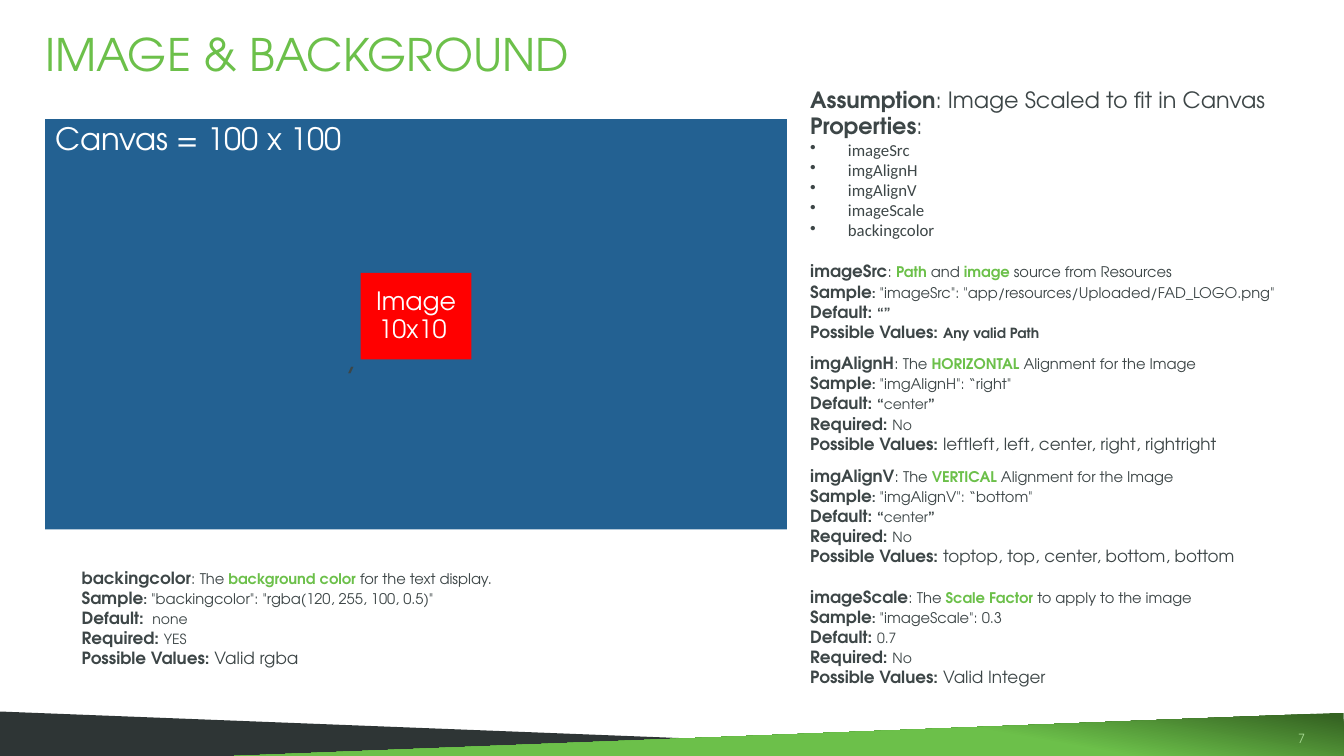
"""Build the slide on image and background properties."""
from dataclasses import dataclass
from typing import Any

import lxml.etree
import pptx
import pptx.dml.color
import pptx.enum.shapes
import pptx.enum.text
import pptx.oxml.ns
import pptx.util

Cm = pptx.util.Cm
SHAPE = pptx.enum.shapes.MSO_SHAPE
ALIGN = pptx.enum.text.PP_ALIGN
ANCHOR = pptx.enum.text.MSO_ANCHOR
GROW = pptx.enum.text.MSO_AUTO_SIZE.SHAPE_TO_FIT_TEXT

HUES = {
    "green": "6CC04A",
    "forest": "356322",
    "pale": "A7D992",
    "slate": "2E3535",
    "ink": "3D4647",
    "blue": "236192",
    "red": "FF0000",
    "white": "FFFFFF",
}
FACE = "TeX Gyre Adventor"
INSETS = ("margin_left", "margin_top", "margin_right", "margin_bottom")
FLUSH = {"word_wrap": True, "auto_size": GROW, **dict.fromkeys(INSETS, 0)}
LOOSE = {"word_wrap": True, "auto_size": GROW}
TIGHT = {"line_spacing": 0.9, "space_before": pptx.util.Pt(8)}
NOTE_LEFT, NOTE_WIDTH, ROW = 20.42, 12.8, 0.514


@dataclass
class Bit:
    """A run of text with its format."""
    text: str
    size: float = 12
    bold: bool = False
    hue: str = "ink"
    face: str = FACE


@dataclass
class Box:
    """A place on the slide in centimetres."""
    left: float
    top: float
    width: float
    height: float

    def spot(self) -> tuple:
        """Return the place as lengths."""
        return Cm(self.left), Cm(self.top), Cm(self.width), Cm(self.height)


@dataclass
class Note:
    """The description of one property."""
    left: float
    top: float
    name: str
    lead: list[Bit]
    sample: str
    default: list[Bit]
    need: str
    values: Bit

    def rows(self) -> list[list[Bit]]:
        """Return the lines of the note."""
        lines = [
            [Bit(self.name, bold=True), Bit(": ", 11), *self.lead],
            [Bit("Sample", bold=True), Bit(": ", 10, True), Bit(self.sample, 10.5)],
            [Bit("Default: ", bold=True), *self.default],
        ]
        if self.need:
            lines.append([Bit("Required: ", bold=True), Bit(self.need, 10)])
        return lines + [[Bit("Possible Values: ", bold=True), self.values]]


def color(name: str) -> pptx.dml.color.RGBColor:
    """Return a named colour."""
    return pptx.dml.color.RGBColor.from_string(HUES[name])


def style(item: Any, form: dict) -> None:
    """Set every format value on the item."""
    for key, value in form.items():
        setattr(item, key, value)


def write(frame: Any, rows: list[list[Bit]], form: dict, para: dict) -> None:
    """Fill a text frame with rows of runs."""
    style(frame, form)
    for index, row in enumerate(rows):
        line = frame.add_paragraph() if index else frame.paragraphs[0]
        style(line, para)
        for bit in row:
            run = line.add_run()
            run.text = bit.text
            style(run.font, {"name": bit.face, "size": pptx.util.Pt(bit.size), "bold": bit.bold})
            run.font.color.rgb = color(bit.hue)


def label(slide: Any, box: Box, rows: list[list[Bit]], form: dict, para: dict) -> Any:
    """Add a text box and return its frame."""
    frame = slide.shapes.add_textbox(*box.spot()).text_frame
    write(frame, rows, form, para)
    return frame


def block(slide: Any, kind: Any, box: Box, hue: str) -> Any:
    """Add a plain filled shape."""
    shape = slide.shapes.add_shape(kind, *box.spot())
    shape.shadow.inherit = False
    shape.fill.solid()
    shape.fill.fore_color.rgb = color(hue)
    shape.line.fill.background()
    return shape


def footer(slide: Any) -> None:
    """Draw the two wedges and the slide number."""
    block(slide, SHAPE.RIGHT_TRIANGLE, Box(0, 17.93, 28.7, 1.12), "slate")
    wedge = block(slide, SHAPE.RIGHT_TRIANGLE, Box(5.16, 17.96, 28.7, 1.12), "green")
    wedge.element.spPr.xfrm.set("flipH", "1")
    wedge.fill.gradient()
    wedge.fill.gradient_angle = 280
    for stop, (place, hue) in zip(wedge.fill.gradient_stops, ((0.02, "forest"), (0.33, "green"))):
        stop.position = place
        stop.color.rgb = color(hue)
    label(slide, Box(31.24, 18.42, 1.65, 0.38), [[Bit("7", 9, hue="pale")]],
          FLUSH, {"alignment": ALIGN.RIGHT})


def bullet(line: Any) -> None:
    """Give a paragraph a hanging bullet."""
    props = line._p.get_or_add_pPr()
    props.set("marL", str(Cm(0.95)))
    props.set("indent", str(-Cm(0.95)))
    mark = lxml.etree.SubElement(props, pptx.oxml.ns.qn("a:buChar"))
    mark.set("char", "•")


def lead(key: str, rest: str) -> list[Bit]:
    """Return the summary of a property with its key words in green."""
    return [Bit("The ", 10.5), Bit(key, 10.5, True, "green"), Bit(rest, 10.5)]


CENTER = [Bit("“", 10, True), Bit("center", 10), Bit("”", 10, True)]
NOTES = [
    Note(NOTE_LEFT, 6.58, "imageSrc",
         [Bit("Path", 10.5, True, "green"), Bit(" and ", 10.5),
          Bit("image", 10.5, True, "green"), Bit(" source from Resources", 10.5)],
         '"imageSrc": "app/resources/Uploaded/FAD_LOGO.png"',
         [Bit("“”", 10, True)], "", Bit("Any valid Path", 10, True)),
    Note(NOTE_LEFT, 11.73, "imgAlignV", lead("VERTICAL", " Alignment for the Image"),
         '"imgAlignV": “bottom"', CENTER, "No", Bit("toptop, top, center, bottom, bottom")),
    Note(NOTE_LEFT, 8.89, "imgAlignH", lead("HORIZONTAL", " Alignment for the Image"),
         '"imgAlignH": “right"', CENTER, "No", Bit("leftleft, left, center, right, rightright")),
    Note(NOTE_LEFT, 14.78, "imageScale", lead("Scale Factor", " to apply to the image"),
         '"imageScale": 0.3', [Bit("0.7", 10)], "No", Bit("Valid Integer")),
    Note(2.06, 14.3, "backingcolor", lead("background color ", "for the text display."),
         '"backingcolor": "rgba(120, 255, 100, 0.5)"', [Bit(" none", 10)], "YES",
         Bit("Valid rgba")),
]
FIELDS = ["imageSrc", "imgAlignH", "imgAlignV", "imageScale", "backingcolor"]


def main() -> None:
    """Build and save the slide."""
    deck = pptx.Presentation()
    style(deck, {"slide_width": Cm(33.87), "slide_height": Cm(19.05)})
    slide = deck.slides.add_slide(deck.slide_layouts[5])
    footer(slide)

    title = slide.shapes.title
    style(title, dict(zip(("left", "top", "width", "height"), Box(1.14, 0.94, 28.5, 1.09).spot())))
    write(title.text_frame, [[Bit("IMAGE & BACKGROUND", 32, hue="green")]],
          {**FLUSH, "vertical_anchor": ANCHOR.MIDDLE},
          {"alignment": ALIGN.LEFT, "line_spacing": 0.8})

    canvas = block(slide, SHAPE.RECTANGLE, Box(1.14, 3, 18.69, 10.34), "blue")
    write(canvas.text_frame, [[Bit("Canvas = 100 x 100", 22, hue="white")]],
          {"vertical_anchor": ANCHOR.TOP}, {**TIGHT, "alignment": ALIGN.LEFT})
    image = block(slide, SHAPE.RECTANGLE, Box(9.09, 6.88, 2.79, 2.18), "red")
    write(image.text_frame, [[Bit("Image 10x10 ", 18, hue="white")]],
          {"vertical_anchor": ANCHOR.MIDDLE}, {**TIGHT, "alignment": ALIGN.CENTER})

    heads = [[Bit("Assumption", 16, True), Bit(": Image Scaled to fit in Canvas", 16)],
             [Bit("Properties", 16, True), Bit(":", 16)]]
    items = [[Bit(field, face="Calibri")] for field in FIELDS]
    intro = label(slide, Box(NOTE_LEFT, 2.16, 11.58, 3.94), heads + items, FLUSH, {})
    for line in intro.paragraphs[len(heads):]:
        bullet(line)

    for note in NOTES:
        rows = note.rows()
        label(slide, Box(note.left, note.top, NOTE_WIDTH, ROW * len(rows)), rows, FLUSH, {})
    label(slide, Box(8.46, 8.38, 16.94, 1.27), [[Bit(",", 24)]], LOOSE, {})
    deck.save("out.pptx")


if __name__ == "__main__":
    main()
